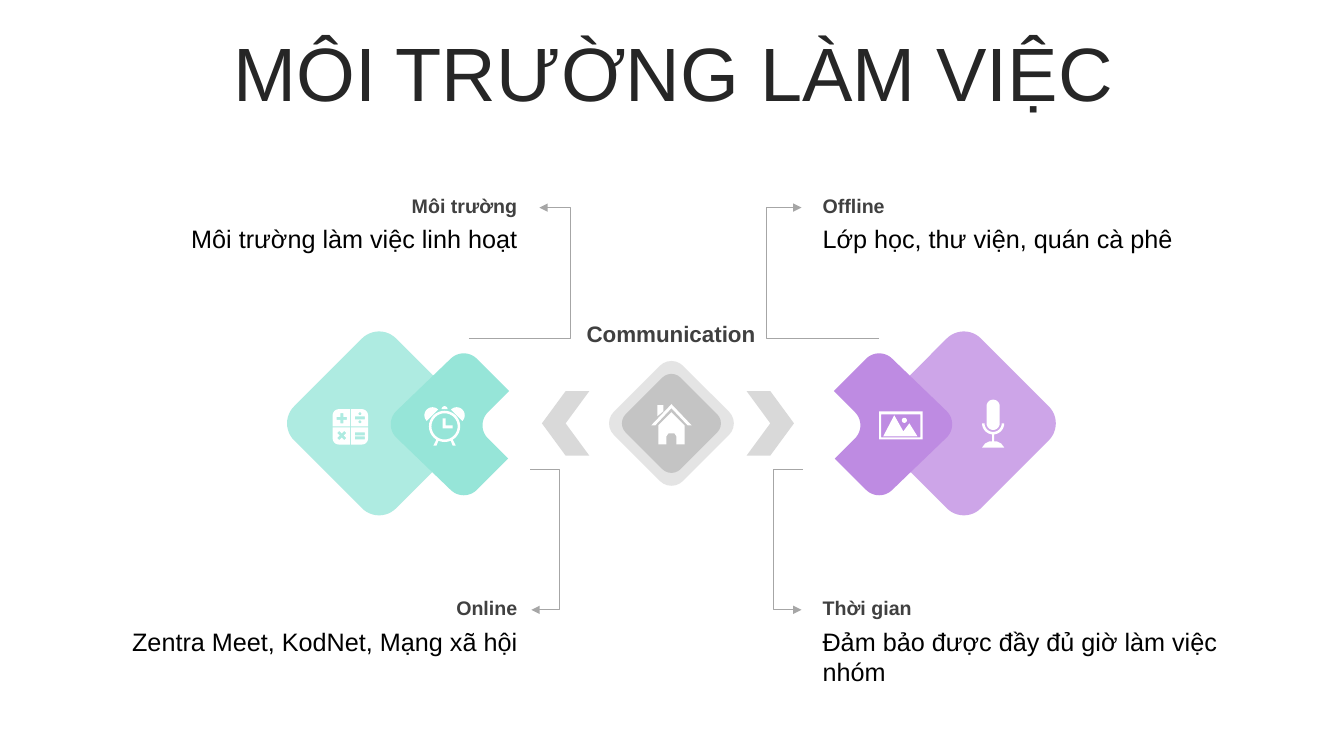
from math import cos, radians, sin

from lxml import etree
from pptx import Presentation
from pptx.dml.color import RGBColor
from pptx.enum.shapes import MSO_SHAPE as SHAPE
from pptx.enum.text import MSO_ANCHOR as ANCHOR, MSO_AUTO_SIZE as AUTO, PP_ALIGN as ALIGN
from pptx.oxml.ns import qn
from pptx.util import Inches, Pt

FONT = "Arial"
MINT, PURPLE, GREY, WHITE = "96E5D8", "BE8BE2", "BFBFBF", "FFFFFF"
CENTRE_X, CENTRE_Y = 6.66, 4.2


def color(value):
    return RGBColor.from_string(value)


# ---- Text ----
def add_run(p, text, size, hex_color, bold=False):
    r = p.add_run()
    r.text = text
    r.font.name, r.font.size, r.font.bold = FONT, Pt(size), bold
    r.font.color.rgb = color(hex_color)


def add_text(s, x, y, w, h, text, size, hex_color, align, bold=False):
    tf = s.shapes.add_textbox(Inches(x), Inches(y), Inches(w), Inches(h)).text_frame
    tf.word_wrap = True
    p = tf.paragraphs[0]
    p.alignment = align
    add_run(p, text, size, hex_color, bold)


def add_title(s, text, x, y, w, h):
    sp = s.shapes.title
    sp.left, sp.top, sp.width, sp.height = map(Inches, (x, y, w, h))
    tf = sp.text_frame
    tf.auto_size, tf.vertical_anchor, tf.word_wrap = AUTO.NONE, ANCHOR.MIDDLE, True
    p = tf.paragraphs[0]
    p.alignment, p.line_spacing = ALIGN.CENTER, 0.9
    add_run(p, text, 54, "262626")


def add_callout(s, x, y, heading, body, align):
    add_text(s, x, y, 4.42, 0.34, heading, 14, "404040", align, True)
    add_text(s, x, y + 0.3, 4.42, 0.4, body, 18, "000000", align)


# ---- Shapes ----
def paint(sp, hex_color, alpha=100):
    sp.shadow.inherit = False
    sp.fill.solid()
    sp.fill.fore_color.rgb = color(hex_color)
    sp.line.fill.background()
    if alpha < 100:
        rgb = sp.fill._xPr.find(qn("a:solidFill"))[0]
        etree.SubElement(rgb, qn("a:alpha"), val=str(alpha * 1000))


def add_preset(s, kind, cx, cy, w, h, hex_color, alpha=100, turn=0):
    sp = s.shapes.add_shape(kind, Inches(cx - w / 2), Inches(cy - h / 2), Inches(w), Inches(h))
    sp.rotation = turn
    paint(sp, hex_color, alpha)


def add_diamond(s, cx, side, hex_color, alpha):
    add_preset(s, SHAPE.ROUNDED_RECTANGLE, cx, CENTRE_Y, side, side, hex_color, alpha, 315)


def add_outline(s, contours, x=0, y=0, closed=True):
    builder = None
    for contour in contours:
        pts = [(Inches(x + px), Inches(y + py)) for px, py in contour]
        if builder is None:
            builder = s.shapes.build_freeform(*pts[0])
        else:
            builder.move_to(*pts[0])
        builder.add_line_segments(pts[1:], close=closed)
    return builder.convert_to_shape()


def add_elbow(s, points):
    sp = add_outline(s, [points], closed=False)
    sp.shadow.inherit = False
    sp.fill.background()
    sp.line.color.rgb, sp.line.width = color("A6A6A6"), Pt(0.5)
    etree.SubElement(sp.line._get_or_add_ln(), qn("a:tailEnd"), type="triangle")


# ---- Contours ----
def arc(cx, cy, r, start, end, steps=16):
    angles = [radians(start + (end - start) * i / steps) for i in range(steps + 1)]
    return [(cx + r * cos(a), cy + r * sin(a)) for a in angles]


def circle(cx, cy, r):
    return arc(cx, cy, r, 0, 360, 32)


def rect(x, y, w, h):
    return [(x, y), (x + w, y), (x + w, y + h), (x, y + h)]


def plus(cx, cy, reach, half, turn=0):
    c, n = cos(radians(turn)), sin(radians(turn))
    arm = [(-half, -reach), (half, -reach), (half, -half)]
    pts = []
    for _ in range(4):
        pts += arm
        arm = [(-py, px) for px, py in arm]
    return [(cx + px * c - py * n, cy + px * n + py * c) for px, py in pts]


def flip(points, axis):
    return [(2 * axis - px, py) for px, py in points]


# ---- Icons, each relative to its top left corner ----
def clock_icon():
    bell = arc(0.08, 0.09, 0.08, -45, -225)
    leg = [(0.28, 0.33), (0.31, 0.39), (0.28, 0.39), (0.26, 0.34)]
    hands = [(0.18, 0.12), (0.21, 0.12), (0.21, 0.19), (0.28, 0.19), (0.28, 0.22), (0.18, 0.22)]
    knob = arc(0.2, 0.03, 0.03, 180, 360)
    return [circle(0.2, 0.2, 0.155), circle(0.2, 0.2, 0.13), hands, knob,
            bell, flip(bell, 0.2), leg, flip(leg, 0.2)]


def calculator_icon():
    top = arc(0.06, 0.06, 0.06, 180, 270) + [(0.17, 0), (0.17, 0.17), (0, 0.17)]
    bottom = [(px, 0.35 - py) for px, py in top]
    keys = [top, bottom, flip(top, 0.175), flip(bottom, 0.175)]
    bars = [rect(0.22, y, 0.1, 0.03) for y in (0.07, 0.23, 0.27)]
    dots = [circle(0.27, y, 0.015) for y in (0.045, 0.125)]
    return keys + bars + dots + [plus(0.09, 0.09, 0.05, 0.015), plus(0.09, 0.26, 0.05, 0.015, 45)]


def house_icon():
    half = [(0.33, 0.21), (0.33, 0.4), (0.25, 0.4), (0.25, 0.32), (0.23, 0.29)]
    walls = [(0.2, 0.08)] + half + flip(half, 0.2)[::-1]
    roof = [(0.2, 0), (0.4, 0.21), (0.36, 0.21), (0.2, 0.04), (0.04, 0.21), (0, 0.21)]
    chimney = [(0.06, 0.01), (0.12, 0.01), (0.12, 0.07), (0.06, 0.12)]
    return [walls, roof, chimney]


def microphone_icon():
    capsule = arc(0.11, 0.06, 0.065, 180, 360) + arc(0.11, 0.23, 0.065, 0, 180)
    cradle = arc(0.11, 0.23, 0.11, 0, 180) + arc(0.11, 0.23, 0.085, 180, 0)
    base = [(0, 0.47), (0.03, 0.43), (0.07, 0.41), (0.15, 0.41), (0.19, 0.43), (0.22, 0.47)]
    return [capsule, cradle, rect(0.1, 0.34, 0.02, 0.07), base]


def landscape_icon():
    hills = [(0.15, 0.04), (0.24, 0.2), (0.3, 0.12), (0.38, 0.25), (0.04, 0.25)]
    return [rect(0, 0, 0.43, 0.28), rect(0.02, 0.03, 0.39, 0.23), hills, circle(0.25, 0.09, 0.025)]


# ---- Diagram regions ----
def add_tiles(s):
    notched = ([(8.28, 4.55), (8.48, 4.35)] + arc(8.35, 4.22, 0.184, 45, -45)
               + [(8.27, 3.88), (8.59, 3.56)] + arc(8.72, 3.69, 0.184, -135, -45)
               + arc(9.26, 4.21, 0.184, -45, 45) + arc(8.72, 4.73, 0.184, 45, 135))
    left = flip(notched, CENTRE_X)
    for offset, hex_color, outline in ((-2.9, MINT, left), (2.9, PURPLE, notched)):
        add_diamond(s, CENTRE_X + offset, 1.43, hex_color, 77)
        paint(add_outline(s, [outline]), hex_color)
    for side, alpha in ((0.97, 42), (0.77, 85)):
        add_diamond(s, CENTRE_X, side, GREY, alpha)
    for cx, turn in ((5.61, 180), (7.64, 0)):
        add_preset(s, SHAPE.CHEVRON, cx, CENTRE_Y, 0.47, 0.64, "D9D9D9", turn=turn)


def add_icons(s):
    for icon, x, y in ((calculator_icon, 3.3, 4.06), (clock_icon, 4.21, 4.03),
                       (house_icon, 6.46, 4.01), (landscape_icon, 8.72, 4.08),
                       (microphone_icon, 9.74, 3.97)):
        paint(add_outline(s, icon(), x, y), WHITE)


def add_callouts(s):
    for x, y, heading, body, align in (
            (0.81, 1.87, "Môi trường", "Môi trường làm việc linh hoạt", ALIGN.RIGHT),
            (0.81, 5.86, "Online", "Zentra Meet, KodNet, Mạng xã hội", ALIGN.RIGHT),
            (8.06, 1.87, "Offline", "Lớp học, thư viện, quán cà phê", ALIGN.LEFT),
            (8.06, 5.86, "Thời gian", "Đảm bảo được đầy đủ giờ làm việc nhóm", ALIGN.LEFT)):
        add_callout(s, x, y, heading, body, align)
    # Elbow arrows: start, bend and tip x, then start and tip y
    for x1, bend, x2, y1, y2 in ((5.26, 5.55, 5.27, 4.66, 6.05), (7.96, 7.67, 7.95, 4.66, 6.05),
                                 (4.65, 5.66, 5.35, 3.36, 2.06), (8.72, 7.6, 7.95, 3.36, 2.06)):
        add_elbow(s, [(x1, y1), (bend, y1), (bend, y2), (x2, y2)])


def main():
    prs = Presentation()
    prs.slide_width, prs.slide_height = Inches(13.33), Inches(7.5)
    s = prs.slides.add_slide(prs.slide_layouts[5])
    add_title(s, "MÔI TRƯỜNG LÀM VIỆC", 0.35, 0.37, 12.66, 0.79)
    add_callouts(s)
    add_text(s, 5.66, 3.13, 1.99, 0.37, "Communication", 16, "404040", ALIGN.CENTER, True)
    add_tiles(s)
    add_icons(s)
    prs.save("out.pptx")


if __name__ == "__main__":
    main()
